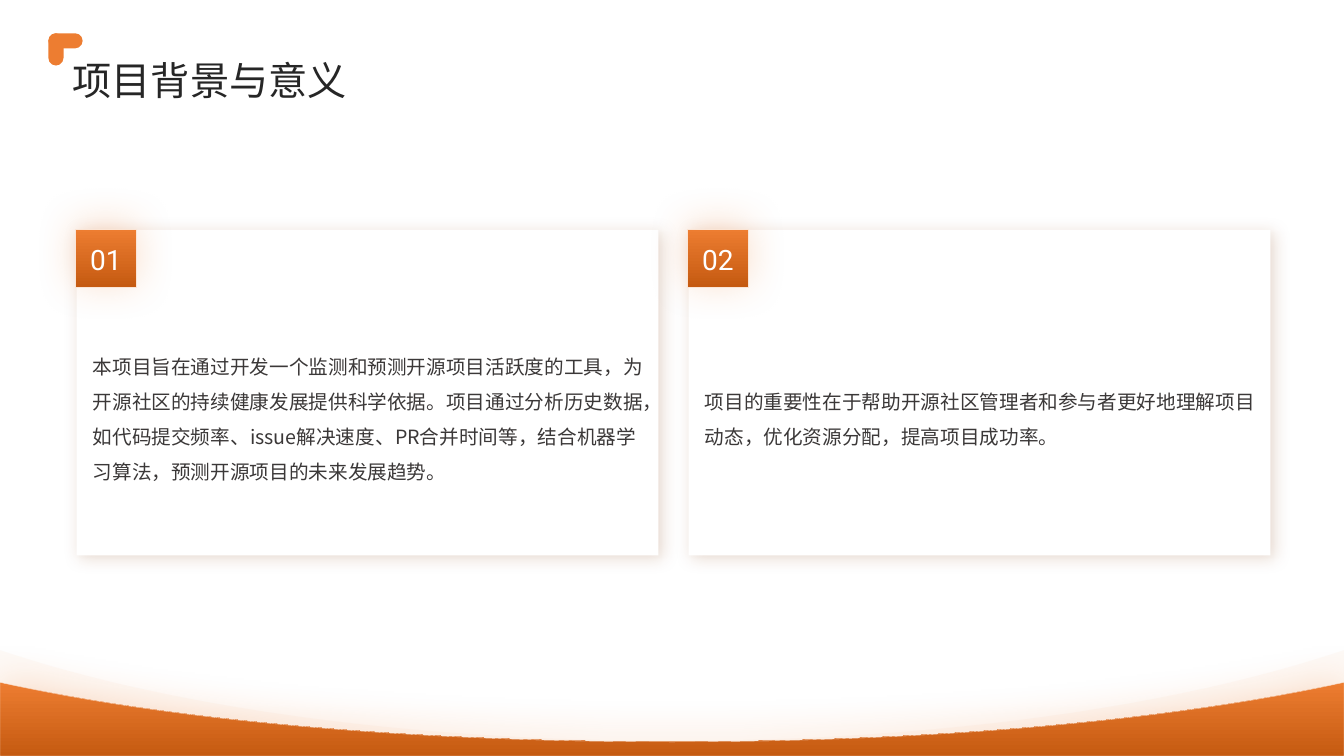
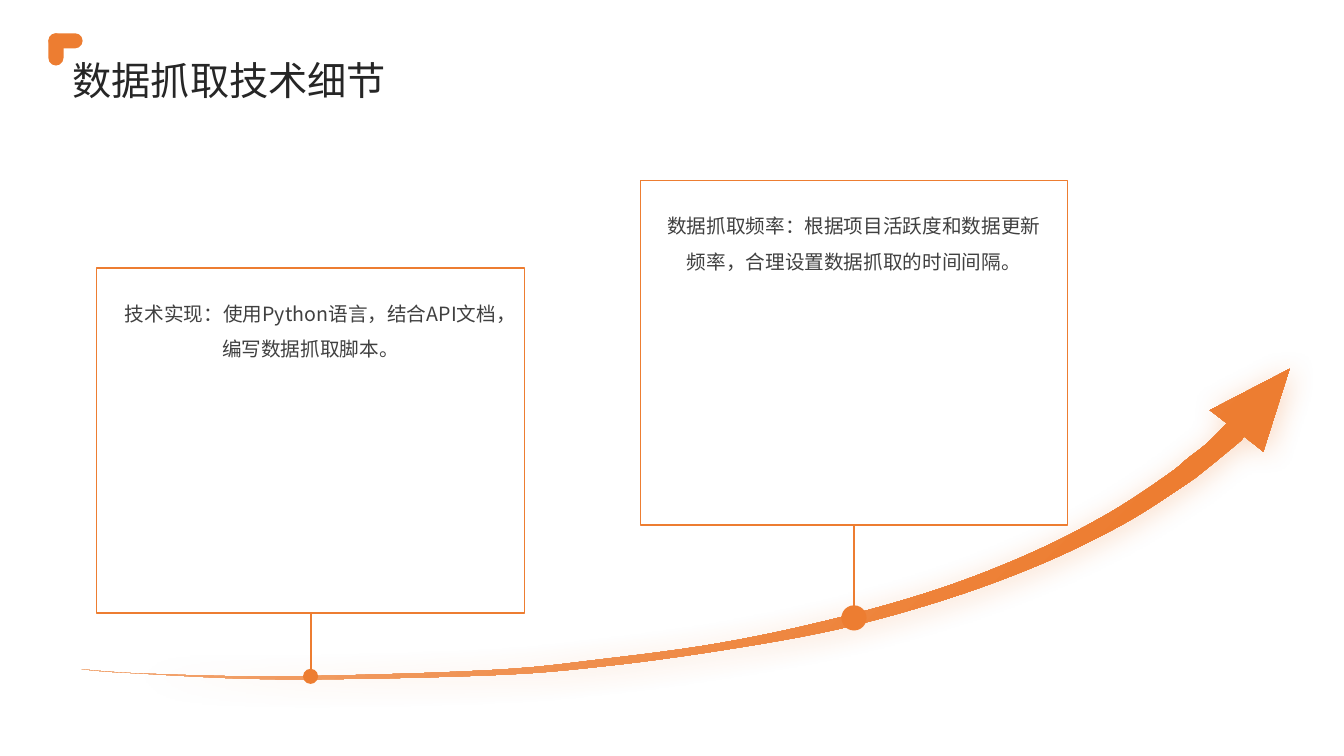
from dataclasses import dataclass

from pptx import Presentation
from pptx.dml.color import RGBColor
from pptx.enum.shapes import MSO_CONNECTOR as Connector, MSO_SHAPE as Shape
from pptx.enum.text import MSO_ANCHOR as Anchor, PP_ALIGN as Align
from pptx.oxml import parse_xml
from pptx.oxml.ns import nsdecls, qn
from pptx.util import Inches, Pt


@dataclass(frozen=True)
class Theme:
    orange: str = "ED7D31"
    rust: str = "C55A11"
    peach: str = "F4B183"
    cream: str = "FBE5D6"
    brown: str = "843C0B"
    white: str = "FFFFFF"
    title_ink: str = "262626"
    card_ink: str = "3B3838"
    milestone_ink: str = "404040"
    cjk: str = "Noto Sans CJK SC"
    latin: str = "Roboto"
    title_size: int = 28
    number_size: int = 20
    body_size: int = 14


THEME = Theme()
WIDTH, HEIGHT = 13.33, 7.5
GLOW = (THEME.orange, 26, 29, 3, 270)
CARD_SHADOW = (THEME.brown, 19, 12, 3, 45)
ARROW_SHADOW = (THEME.orange, 30, 20, 3, 45)

ARROW_HEAD = [(11.19, 0.41), (11.98, 0), (11.72, 0.82), (11.53, 0.67)]
ARROW_UNDERSIDE = [
    (11.5, 0.71), (11.16, 0.99), (10.93, 1.16), (10.33, 1.54), (9.53, 1.93),
    (8.59, 2.28), (7.51, 2.58), (6.36, 2.79), (5.18, 2.95), (4.04, 3.04),
    (1.99, 3.08), (0.54, 3.02), (0, 2.98),
]
ARROW_TOPSIDE = [
    (0, 2.98), (0.55, 3.02), (1.99, 3.05), (4.03, 2.99), (5.16, 2.88),
    (6.33, 2.72), (7.46, 2.48), (8.51, 2.18), (9.43, 1.82), (10.19, 1.43),
    (10.77, 1.05), (10.98, 0.88), (11.16, 0.74), (11.36, 0.54),
]

REASONS = [
    "本项目旨在通过开发一个监测和预测开源项目活跃度的工具，为开源社区的持续健康发展提供科学依据。"
    "项目通过分析历史数据，如代码提交频率、issue解决速度、PR合并时间等，结合机器学习算法，"
    "预测开源项目的未来发展趋势。",
    "项目的重要性在于帮助开源社区管理者和参与者更好地理解项目动态，优化资源分配，提高项目成功率。",
]
MILESTONES = [
    ((0.96, 2.66), 6.71, 0.15, "技术实现：使用Python语言，结合API文档，编写数据抓取脚本。"),
    ((6.35, 1.79), 6.13, 0.25,
     "数据抓取频率：根据项目活跃度和数据更新频率，合理设置数据抓取的时间间隔。"),
]


def rgb(color):
    return RGBColor.from_string(color)


def bezier(start, pull, push, end, steps=24):
    def at(t):
        weights = ((1 - t) ** 3, 3 * t * (1 - t) ** 2, 3 * t * t * (1 - t), t ** 3)
        corners = (start, pull, push, end)
        return tuple(sum(w * c[axis] for w, c in zip(weights, corners)) for axis in (0, 1))
    return [at(step / steps) for step in range(steps + 1)]


def smooth(stops):
    padded = [stops[0], *stops, stops[-1]]
    curve = [stops[0]]
    for before, start, end, after in zip(padded, padded[1:], padded[2:], padded[3:]):
        pull = [s + (e - b) / 6 for s, e, b in zip(start, end, before)]
        push = [e - (a - s) / 6 for s, e, a in zip(start, end, after)]
        curve += bezier(start, pull, push, end, steps=6)[1:]
    return curve


def paint(shape, fill, line=None, shadow=None):
    shape.shadow.inherit = False
    if isinstance(fill, str):
        shape.fill.solid()
        shape.fill.fore_color.rgb = rgb(fill)
    else:
        first, last, end, angle = fill
        shape.fill.gradient()
        shape.fill.gradient_angle = 360 - angle
        for stop, color, position in zip(shape.fill.gradient_stops, (first, last), (0, end)):
            stop.color.rgb = rgb(color)
            stop.position = position
    if line:
        shape.line.color.rgb = rgb(line[0])
        shape.line.width = Pt(line[1])
    else:
        shape.line.fill.background()
    if shadow:
        color, opacity, blur, distance, direction = shadow
        shape.element.spPr.find(qn("a:effectLst")).append(parse_xml(
            f'<a:outerShdw {nsdecls("a")} blurRad="{Pt(blur)}" dist="{Pt(distance)}" '
            f'dir="{direction * 60000}" algn="ctr" rotWithShape="0"><a:srgbClr val="{color}">'
            f'<a:alpha val="{opacity * 1000}"/></a:srgbClr></a:outerShdw>'))
    return shape


def preset(slide, kind, box, fill, line=None, shadow=None):
    return paint(slide.shapes.add_shape(kind, *map(Inches, box)), fill, line, shadow)


def outline(slide, left, top, points, fill, line=None, shadow=None):
    corners = [(Inches(x), Inches(y)) for x, y in points]
    builder = slide.shapes.build_freeform(*corners[0])
    builder.add_line_segments(corners[1:])
    return paint(builder.convert_to_shape(Inches(left), Inches(top)), fill, line, shadow)


def write(shape, text, size, color, font=THEME.cjk, align=Align.LEFT,
          anchor=Anchor.MIDDLE, spacing=1.5):
    frame = shape.text_frame
    frame.word_wrap = True
    frame.vertical_anchor = anchor
    frame.margin_left = frame.margin_right = frame.margin_top = frame.margin_bottom = 0
    paragraph = frame.paragraphs[0]
    paragraph.text = text
    paragraph.alignment = align
    paragraph.line_spacing = spacing
    paragraph.font.name = font
    paragraph.font.size = Pt(size)
    paragraph.font.color.rgb = rgb(color)
    defaults = paragraph.font.fill._xPr
    defaults.append(parse_xml(f'<a:ea {nsdecls("a")} typeface="{font}"/>'))


def label(slide, box, *args, **style):
    write(slide.shapes.add_textbox(*map(Inches, box)), *args, **style)


def heading(slide, text, left=0.48, top=0.33):
    label(slide, (left + 0.24, top + 0.18, 11.67, 0.51), text,
          THEME.title_size, THEME.title_ink, spacing=1.1)
    for width, height in ((0.34, 0.15), (0.15, 0.32)):
        arm = preset(slide, Shape.ROUNDED_RECTANGLE, (left, top, width, height), THEME.orange)
        arm.adjustments[0] = 0.5


def wave(slide, top, dip, low, fill, line=None, shadow=None):
    half = bezier((0, 0), (1.66, dip), (4.03, low), (WIDTH / 2, low))
    mirrored = [(WIDTH - x, y) for x, y in reversed(half[:-1])]
    floor = HEIGHT - top
    return outline(slide, 0, top, half + mirrored + [(WIDTH, floor), (0, floor)],
                   fill, line, shadow)


def footer_waves(slide):
    haze = wave(slide, 6.45, 0.56, 0.9, THEME.cream)
    tint = haze.element.spPr.find(qn("a:solidFill")).find(qn("a:srgbClr"))
    tint.append(parse_xml(f'<a:alpha {nsdecls("a")} val="18000"/>'))
    wave(slide, 6.77, 0.37, 0.59, (THEME.orange, THEME.rust, 1, 90),
         (THEME.cream, 0.25), GLOW)


def reason_card(slide, left, top, number, text):
    preset(slide, Shape.RECTANGLE, (left, top, 5.77, 3.23), THEME.white, shadow=CARD_SHADOW)
    label(slide, (left + 0.16, top + 0.59, 5.49, 2.46), text,
          THEME.body_size, THEME.card_ink)
    tag = preset(slide, Shape.RECTANGLE, (left - 0.01, top - 0.01, 0.6, 0.58),
                 (THEME.orange, THEME.rust, 1, 90), (THEME.cream, 0.25), GLOW)
    write(tag, f"{number:02d}", THEME.number_size, THEME.white, THEME.latin,
          Align.CENTER, spacing=1.1)


def growth_arrow(slide, left, top):
    points = ARROW_HEAD + smooth(ARROW_UNDERSIDE) + smooth(ARROW_TOPSIDE)[1:]
    outline(slide, left, top, points, (THEME.peach, THEME.orange, 0.8, 45),
            shadow=ARROW_SHADOW)


def milestone(slide, left, top, dot_y, dot_size, text):
    width, height, pad_x, pad_y = 4.24, 3.42, 0.24, 0.22
    center = left + width / 2
    stem = slide.shapes.add_connector(
        Connector.STRAIGHT, *map(Inches, (center, top + height, center, dot_y)))
    stem.line.color.rgb = rgb(THEME.orange)
    stem.line.width = Pt(1.44)
    stem.element.spPr.append(parse_xml(f'<a:effectLst {nsdecls("a")}/>'))
    preset(slide, Shape.OVAL,
           (center - dot_size / 2, dot_y - dot_size / 2, dot_size, dot_size), THEME.orange)
    preset(slide, Shape.RECTANGLE, (left, top, width, height), THEME.white, (THEME.orange, 1))
    label(slide, (left + pad_x, top + pad_y, width - 2 * pad_x, height - 2 * pad_y), text,
          THEME.body_size, THEME.milestone_ink, align=Align.CENTER, anchor=Anchor.TOP)


def background_slide(slide):
    footer_waves(slide)
    for index, text in enumerate(REASONS):
        reason_card(slide, 0.76 + index * 6.07, 2.28, index + 1, text)
    heading(slide, "项目背景与意义")


def crawling_slide(slide):
    growth_arrow(slide, 0.81, 3.66)
    for (left, top), dot_y, dot_size, text in MILESTONES:
        milestone(slide, left, top, dot_y, dot_size, text)
    heading(slide, "数据抓取技术细节")


def main():
    deck = Presentation()
    deck.slide_width, deck.slide_height = Inches(WIDTH), Inches(HEIGHT)
    for build in (background_slide, crawling_slide):
        build(deck.slides.add_slide(deck.slide_layouts[6]))
    deck.save("out.pptx")


if __name__ == "__main__":
    main()
